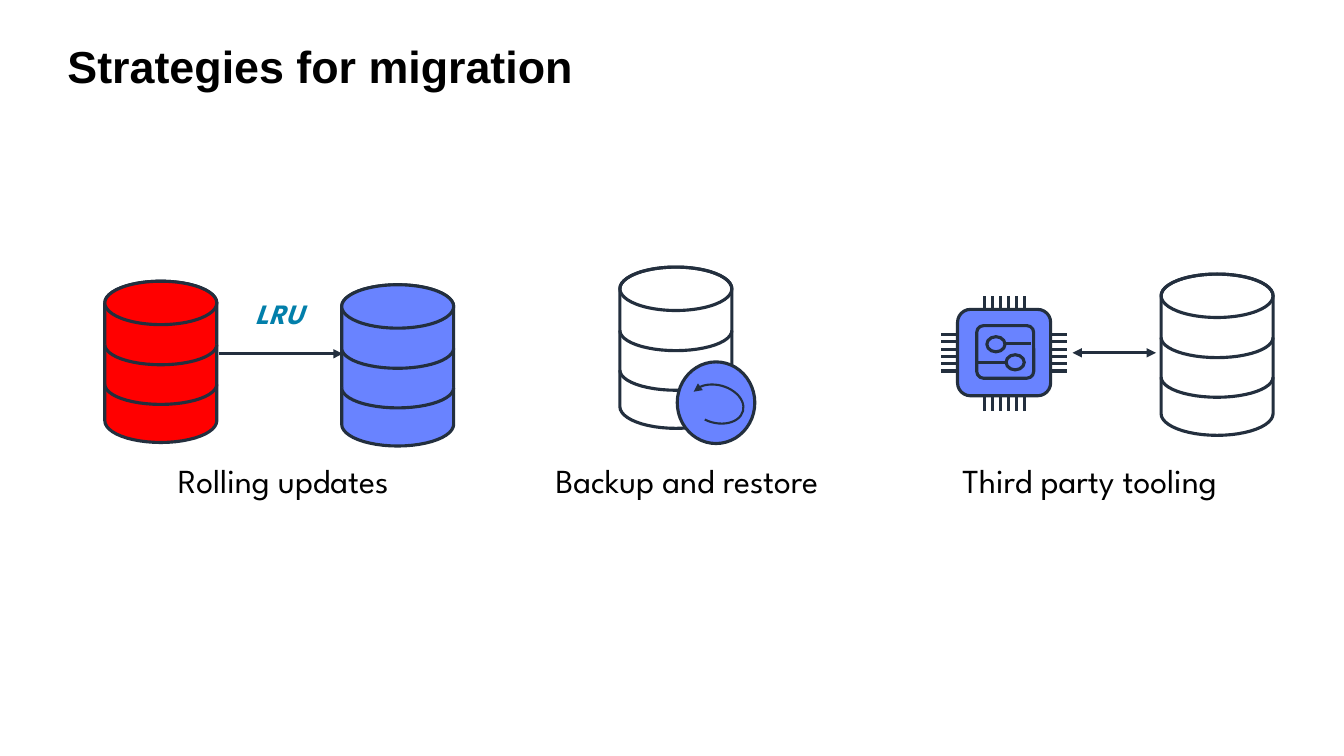
import math
import pptx
import pptx.util
import pptx.dml.color
import pptx.enum.shapes
import pptx.enum.text
import pptx.oxml
import pptx.oxml.ns

Pt = pptx.util.Pt
SHAPE = pptx.enum.shapes.MSO_SHAPE
ALIGN = pptx.enum.text.PP_ALIGN

COLOURS = {"ink": "232F3E", "red": "FF0000", "blue": "6983FF",
           "teal": "027FAA", "black": "000000"}
TITLE = "Strategies for migration"
LABELS = [
    ("Rolling updates", 87.8, 324.7, 229, 36, 24, "black", False),
    ("Backup and restore", 388.1, 324.7, 205.2, 36, 24, "black", False),
    ("Third party tooling", 626.4, 324.7, 303.8, 36, 24, "black", False),
    ("LRU", 148.3, 208.1, 102.2, 31.7, 20, "teal", True),
]
DATABASES = [(74.9, 200.9, "red"), (244.1, 203.4, "blue"),
             (442.8, 190.8, None), (829.4, 195.8, None)]
DATABASE_WIDTH, DATABASE_HEIGHT, LID_HEIGHT = 80, 115.2, 31
BAND_OFFSETS, BAND_DEPTH = (45.3, 73.6), 14.4
ARROWS = [(156.2, 252.7, 244.8, ("tailEnd",)),
          (766.1, 252, 825.8, ("headEnd", "tailEnd"))]
CHIP_BOXES = [(684, 221, 66.5, 61.7, 0.15), (697.7, 232.6, 40.7, 37.6, 0.13)]
CHIP_NODES = [(704.9, 240.5), (718.6, 253.4)]
CHIP_TRACES = [(717.8, 245.5, 736.6, 245.5), (697.7, 259.2, 718.6, 259.2)]
PIN_COUNT = 6
PIN_COLUMNS, PIN_ROWS = (703.4, 5.63), (239, 5.2)
PIN_HEIGHTS = [(211.7, 221), (283.7, 293.8)]
PIN_WIDTHS = [(672.5, 683.3), (751, 762.5)]

deck = pptx.Presentation()
deck.slide_width, deck.slide_height = Pt(960), Pt(540)
page = deck.slides.add_slide(deck.slide_layouts[5])


def rgb(name):
    return pptx.dml.color.RGBColor.from_string(COLOURS[name])


def paint(shape, fill, weight=2.25):
    shape.shadow.inherit = False
    if fill:
        shape.fill.solid()
        shape.fill.fore_color.rgb = rgb(fill)
    else:
        shape.fill.background()
    shape.line.color.rgb = rgb("ink")
    shape.line.width = Pt(weight)
    return shape


def add_preset(kind, left, top, width, height, fill, weight=2.25):
    shape = page.shapes.add_shape(kind, Pt(left), Pt(top), Pt(width), Pt(height))
    return paint(shape, fill, weight)


def add_ends(shape, ends):
    line = shape.line._get_or_add_ln()
    for end in ends:
        pptx.oxml.ns.qn("a:" + end)
        line.append(pptx.oxml.parse_xml(
            f'<a:{end} {pptx.oxml.ns.nsdecls("a")} type="triangle"/>'))


def add_line(x1, y1, x2, y2, ends=()):
    line = page.shapes.add_connector(
        pptx.enum.shapes.MSO_CONNECTOR.STRAIGHT, Pt(x1), Pt(y1), Pt(x2), Pt(y2))
    line.line.color.rgb = rgb("ink")
    line.line.width = Pt(2.25)
    add_ends(line, ends)
    line._element.spPr.append(pptx.oxml.parse_xml(
        f'<a:effectLst {pptx.oxml.ns.nsdecls("a")}/>'))


def curve(left, middle, depth, start, stop, steps=24):
    radius = DATABASE_WIDTH / 2
    angles = [math.radians(start + (stop - start) * i / steps) for i in range(steps + 1)]
    return [(Pt(left + radius + radius * math.cos(a)), Pt(middle + depth * math.sin(a)))
            for a in angles]


def add_outline(points, closed, fill):
    builder = page.shapes.build_freeform(*points[0], scale=1.0)
    builder.add_line_segments(points[1:], close=closed)
    paint(builder.convert_to_shape(), fill)


def add_database(left, top, fill):
    depth = LID_HEIGHT / 2
    upper = curve(left, top + depth, depth, 180, 360)
    lower = curve(left, top + DATABASE_HEIGHT - depth, depth, 0, 180)
    add_outline(upper + lower, True, fill)
    add_preset(SHAPE.OVAL, left, top, DATABASE_WIDTH, LID_HEIGHT, fill)
    for offset in BAND_OFFSETS:
        add_outline(curve(left, top + offset, BAND_DEPTH, 0, 180), False, fill)


def add_chip():
    for i in range(PIN_COUNT):
        x = PIN_COLUMNS[0] + i * PIN_COLUMNS[1]
        y = PIN_ROWS[0] + i * PIN_ROWS[1]
        for top, bottom in PIN_HEIGHTS:
            add_line(x, top, x, bottom)
        for left, right in PIN_WIDTHS:
            add_line(left, y, right, y)
    for left, top, width, height, rounding in CHIP_BOXES:
        box = add_preset(SHAPE.ROUNDED_RECTANGLE, left, top, width, height, "blue")
        box.adjustments[0] = rounding
    for left, top in CHIP_NODES:
        add_preset(SHAPE.OVAL, left, top, 13, 10.8, "blue")
    for trace in CHIP_TRACES:
        add_line(*trace)


def add_restore_badge():
    add_preset(SHAPE.OVAL, 483.8, 258.5, 55.4, 58.3, "blue")
    loop = add_preset(SHAPE.ARC, 492.8, 275.1, 38.6, 27, None, 1.5)
    loop.rotation = 15
    for i, degrees in enumerate((193, 113)):
        loop.adjustments[i] = degrees * 0.6
    add_ends(loop, ("headEnd",))


def style(para, size, font, colour, bold, italic=False):
    for span in para.runs:
        span.font.size = Pt(size)
        span.font.name = font
        span.font.bold = bold
        span.font.italic = italic
        span.font.color.rgb = rgb(colour)


def set_margins(frame, side, edge):
    frame.margin_left = frame.margin_right = Pt(side)
    frame.margin_top = frame.margin_bottom = Pt(edge)
    frame.word_wrap = True


title = page.shapes.title
title.left, title.top, title.width, title.height = Pt(48.2), Pt(31.7), Pt(871.2), Pt(34.6)
title.text_frame.text = TITLE
set_margins(title.text_frame, 0, 0)
title.text_frame.vertical_anchor = pptx.enum.text.MSO_ANCHOR.TOP
heading = title.text_frame.paragraphs[0]
heading.alignment = ALIGN.LEFT
heading.line_spacing = 0.9
style(heading, 32, "Arial", "black", True)

for text, left, top, width, height, size, colour, strong in LABELS:
    box = page.shapes.add_textbox(Pt(left), Pt(top), Pt(width), Pt(height))
    box.text_frame.text = text
    set_margins(box.text_frame, 0, 3.6)
    para = box.text_frame.paragraphs[0]
    para.alignment = ALIGN.CENTER
    style(para, size, "League Spartan", colour, strong, strong)

for start, y, end, heads in ARROWS:
    add_line(start, y, end, y, heads)
for database in DATABASES:
    add_database(*database)
add_restore_badge()
add_chip()

deck.save("out.pptx")
